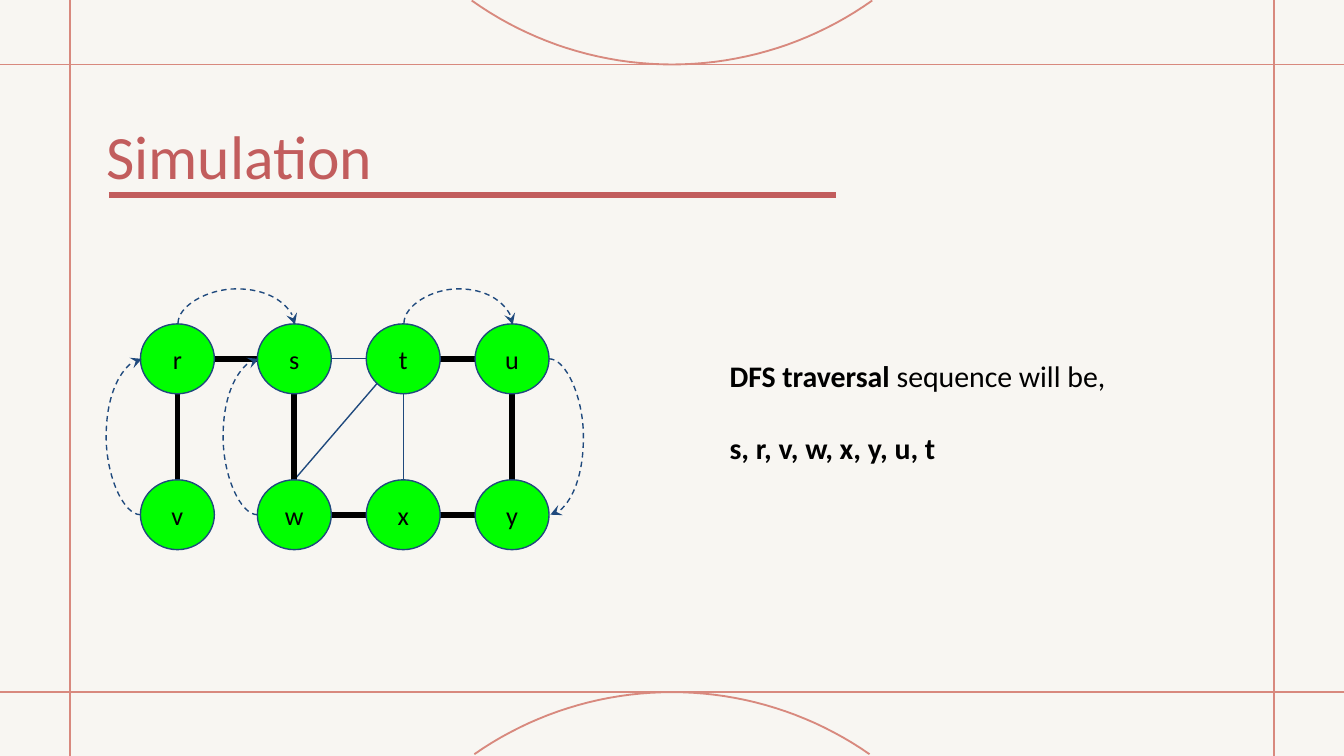
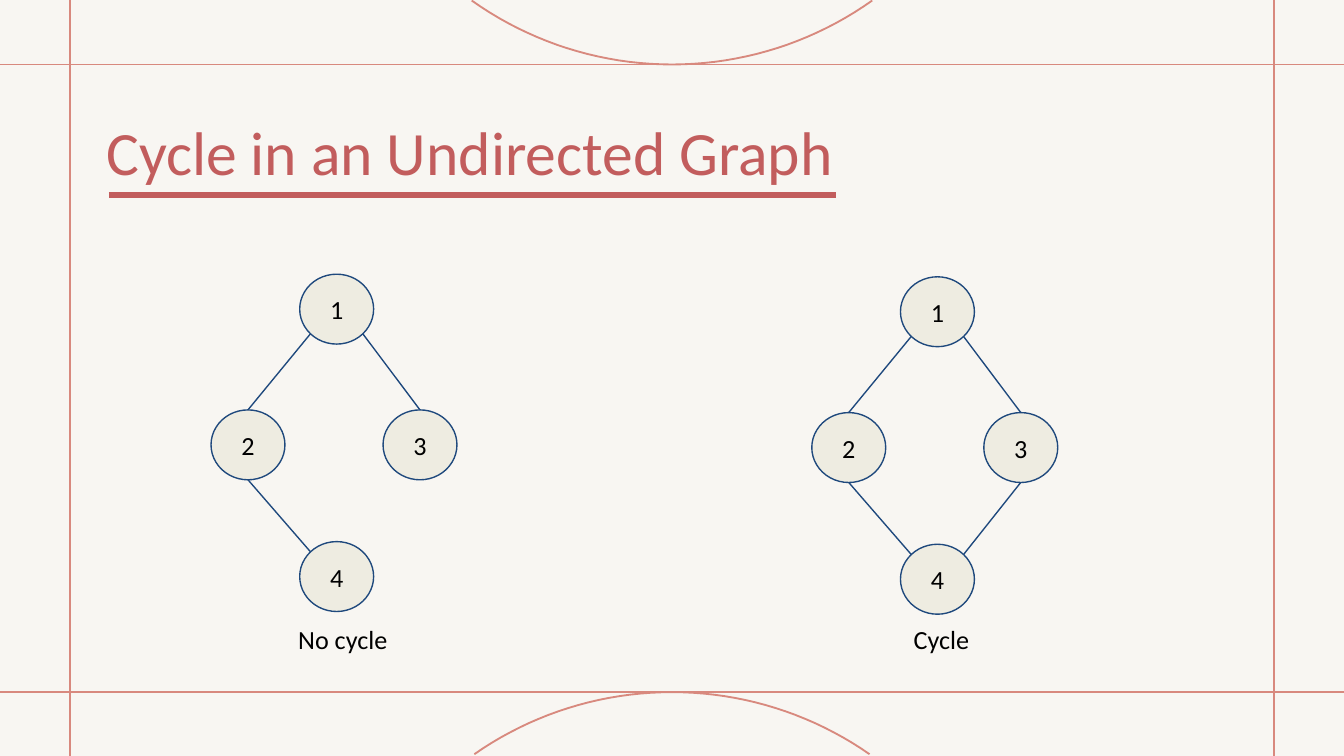
from math import asin, cos, hypot, sin

from lxml.etree import SubElement
from pptx import Presentation
from pptx.dml.color import RGBColor
from pptx.enum.dml import MSO_LINE
from pptx.enum.shapes import MSO_CONNECTOR, MSO_SHAPE
from pptx.enum.text import MSO_ANCHOR, PP_ALIGN
from pptx.oxml.ns import qn
from pptx.util import Inches, Pt

# The grid has square cells of a tenth of an inch.
WIDE, HIGH = 100, 56.25
CELL = 0.1

FONT = "Calibri"
PAPER, FRAME, ROSE = "F8F6F2", "D8897E", "C25D5D"
BLACK, NAVY, GREEN, SAND = "000000", "1F497D", "00FF00", "EEECE1"

NODE_W, NODE_H = 5.5, 5.2
DIAG = 0.71
SIDES = {
    "N": (0, -1), "S": (0, 1), "E": (1, 0), "W": (-1, 0),
    "NE": (DIAG, -DIAG), "NW": (-DIAG, -DIAG),
    "SE": (DIAG, DIAG), "SW": (-DIAG, DIAG),
}


def grid(*cells):
    return [Inches(n * CELL) for n in cells]


def tint(code):
    return RGBColor.from_string(code)


def write(para, text, size=14, color=BLACK, bold=False):
    run = para.add_run()
    run.text = text
    font = run.font
    font.name, font.size, font.bold = FONT, Pt(size), bold
    font.color.rgb = tint(color)


def dock(node, side):
    """Return the point on a node's rim that faces the given side."""
    dx, dy = SIDES[side]
    return node[0] + dx * NODE_W / 2, node[1] + dy * NODE_H / 2


class Deck:
    def __init__(self):
        self.prs = Presentation()
        self.prs.slide_width, self.prs.slide_height = grid(WIDE, HIGH)
        self.slide = None

    @property
    def shapes(self):
        return self.slide.shapes

    def page(self, title, top):
        """Start a slide with its frame, title and title rule."""
        self.slide = self.prs.slides.add_slide(self.prs.slide_layouts[6])
        fill = self.slide.background.fill
        fill.solid()
        fill.fore_color.rgb = tint(PAPER)
        for y in (51.5, 4.8):
            self.line((0, y), (WIDE, y), FRAME, 1)
        for x in (94.8, 5.2):
            self.line((x, HIGH), (x, 0), FRAME, 1)
        self.arc(4.8, 14.9, -1)
        self.arc(51.5, 14.7, 1)
        self.line((8.1, 14.5), (62.2, 14.5), ROSE, 3)
        para = self.box(7.9, top, 54.5, 5.6, inset=0).paragraphs[0]
        write(para, title, size=33, color=ROSE)

    def arc(self, edge, half, way, radius=25.7, steps=40):
        """Draw the part of a circle that touches a frame line."""
        mid = edge + way * radius
        turn = asin(half / radius)
        angles = [turn * (2 * i / steps - 1) for i in range(steps + 1)]
        points = [grid(WIDE / 2 + radius * sin(a), mid - way * radius * cos(a))
                  for a in angles]
        form = self.shapes.build_freeform(*points[0])
        form.add_line_segments(points[1:], close=False)
        curve = form.convert_to_shape()
        curve.shadow.inherit = False
        curve.fill.background()
        curve.line.color.rgb = tint(FRAME)
        curve.line.width = Pt(1)

    def box(self, x, y, w, h, inset=1):
        frame = self.shapes.add_textbox(*grid(x, y, w, h)).text_frame
        frame.word_wrap = True
        frame.margin_left, frame.margin_top = grid(inset, inset)
        frame.margin_right, frame.margin_bottom = grid(inset, inset)
        return frame

    def line(self, start, end, color=NAVY, width=0.75,
             kind=MSO_CONNECTOR.STRAIGHT):
        link = self.shapes.add_connector(kind, *grid(*start, *end))
        link.line.color.rgb = tint(color)
        link.line.width = Pt(width)
        SubElement(link.element.spPr, qn("a:effectLst"))
        return link

    def hop(self, start, end, side, bulge=2.6, thin=0.1):
        """Draw a dashed curved arrow that bows out from one side."""
        (x1, y1), (x2, y2) = dock(start, side), dock(end, side)
        x, y = (x1 + x2) / 2, (y1 + y2) / 2
        half = hypot(x2 - x1, y2 - y1) / 2
        flip = side != "E"
        first, last = (x + thin, x) if flip else (x, x + thin)
        link = self.line((first, y - half), (last, y + half),
                         kind=MSO_CONNECTOR.CURVE)
        link.rotation = {"E": 0, "W": 180, "N": 270}[side]
        link.line.dash_style = MSO_LINE.DASH
        props = link.element.spPr
        SubElement(props.find(qn("a:ln")), qn("a:tailEnd"), type="stealth")
        bend = round(bulge / thin * 100000) * (-1 if flip else 1)
        SubElement(props.find(qn("a:prstGeom")).find(qn("a:avLst")),
                   qn("a:gd"), name="adj1", fmla=f"val {bend}")

    def node(self, label, spot, fill):
        x, y = spot
        oval = self.shapes.add_shape(
            MSO_SHAPE.OVAL,
            *grid(x - NODE_W / 2, y - NODE_H / 2, NODE_W, NODE_H))
        oval.shadow.inherit = False
        oval.fill.solid()
        oval.fill.fore_color.rgb = tint(fill)
        oval.line.color.rgb = tint(NAVY)
        oval.line.width = Pt(0.75)
        frame = oval.text_frame
        frame.vertical_anchor = MSO_ANCHOR.MIDDLE
        frame.margin_left = frame.margin_right = Inches(0.1)
        frame.margin_top = frame.margin_bottom = Inches(0.1)
        para = frame.paragraphs[0]
        para.alignment = PP_ALIGN.CENTER
        write(para, label)

    def graph(self, spots, fill, edges, **style):
        """Draw edges given as (node, side, node, side), then the nodes."""
        self.edges(spots, edges, **style)
        for label, spot in spots.items():
            self.node(label, spot, fill)

    def edges(self, spots, edges, **style):
        for a, out, b, into in edges:
            self.line(dock(spots[a], out), dock(spots[b], into), **style)


def search(deck):
    deck.page("Simulation", 8.8)
    cols, rows = (13.2, 21.9, 30, 38.1), (26.7, 38.3)
    spots = {label: (x, y) for y, row in zip(rows, ("rstu", "vwxy"))
             for x, label in zip(cols, row)}
    deck.edges(spots, [("s", "E", "t", "W"), ("t", "S", "x", "N"),
                       ("w", "N", "t", "SW")])
    tree = [(a, "E", b, "W") for a, b in ("rs", "tu", "wx", "xy")]
    tree += [(a, "S", b, "N") for a, b in ("rv", "sw", "uy")]
    deck.graph(spots, GREEN, tree, color=BLACK, width=3)
    for a, b, side in ("vrW", "rsN", "tuN", "uyE", "wsW"):
        deck.hop(spots[a], spots[b], side)

    frame = deck.box(53.3, 25.6, 32.8, 10.1)
    first, last = frame.paragraphs[0], frame.add_paragraph()
    write(first, "DFS traversal ", size=16, bold=True)
    write(first, "sequence will be,", size=16)
    last.space_before = Pt(19.5)
    write(last, "s, r, v, w, x, y, u, t", size=16, bold=True)


def cycle(deck):
    deck.page("Cycle in an Undirected Graph", 8.5)
    shape = {"1": (0, 0), "3": (6.2, 10.1), "2": (-6.6, 10.1), "4": (0, 19.9)}
    path = [("1", "SW", "2", "N"), ("2", "S", "4", "NW"), ("1", "SE", "3", "N")]
    ring = path + [("3", "S", "4", "NE")]
    for x, y, edges, name, left, width in (
            (25.05, 23, path, "No cycle", 21.2, 11.5),
            (69.75, 23.2, ring, "Cycle", 67, 8)):
        spots = {label: (x + dx, y + dy) for label, (dx, dy) in shape.items()}
        deck.graph(spots, SAND, edges)
        write(deck.box(left, 45.4, width, 5.8).paragraphs[0], name)


def main():
    deck = Deck()
    search(deck)
    cycle(deck)
    deck.prs.save("out.pptx")


if __name__ == "__main__":
    main()
